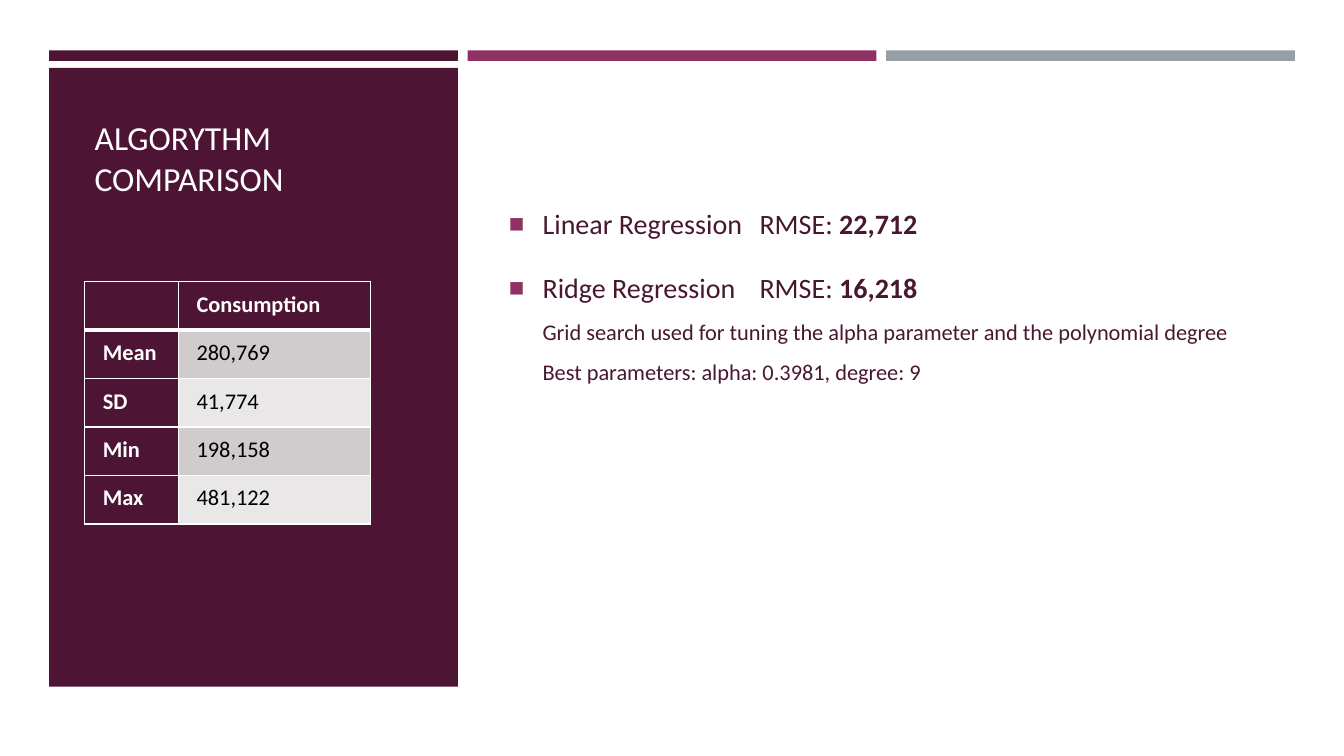
from lxml.etree import SubElement
from pptx import Presentation
from pptx.dml.color import RGBColor
from pptx.enum.shapes import MSO_SHAPE as Shape
from pptx.enum.text import MSO_ANCHOR as Anchor
from pptx.oxml.ns import qn
from pptx.util import Pt

FONT = "Calibri"
PLUM, MAGENTA, GREY, WHITE, BLACK = "4D1434", "903163", "969FA7", "FFFFFF", "000000"
BODY = "481831"
BANDS = ("D0CCCE", "E9E7E8")
STATISTICS = [("", "Consumption"), ("Mean", "280,769"), ("SD", "41,774"),
              ("Min", "198,158"), ("Max", "481,122")]
GRID_SEARCH = ("\vGrid search used for tuning the alpha parameter and the polynomial degree"
               "\vBest parameters: alpha: 0.3981, degree: 9")
# One list of (text, size, bold) runs for each bullet
RESULTS = [
    [("Linear Regression \tRMSE: ", 20, False), ("22,712", 20, True)],
    [("Ridge Regression \tRMSE: ", 20, False), ("16,218", 20, True),
     (GRID_SEARCH, 16, False)],
]


def color(hex_string):
    return RGBColor.from_string(hex_string)


def style_run(run, size, hex_string, bold=False):
    run.font.name = FONT
    run.font.size = Pt(size)
    run.font.bold = bold
    run.font.color.rgb = color(hex_string)


def add_block(slide, left, top, width, height, fill):
    block = slide.shapes.add_shape(Shape.RECTANGLE, Pt(left), Pt(top), Pt(width), Pt(height))
    block.fill.solid()
    block.fill.fore_color.rgb = color(fill)
    block.line.fill.background()
    block.shadow.inherit = False


def add_text_frame(slide, left, top, width, height):
    box = slide.shapes.add_textbox(Pt(left), Pt(top), Pt(width), Pt(height))
    box.text_frame.word_wrap = True
    return box.text_frame


def add_title(slide, text):
    text_frame = add_text_frame(slide, 60.5, 65, 250, 80)
    text_frame.vertical_anchor = Anchor.BOTTOM
    text_frame.text = text
    style_run(text_frame.paragraphs[0].runs[0], 24, WHITE)


def set_bullet(paragraph, tab_position):
    properties = paragraph._p.get_or_add_pPr()
    properties.set("marL", str(Pt(25)))
    properties.set("indent", str(Pt(-24)))
    bullet_color = SubElement(properties, qn("a:buClr"))
    SubElement(bullet_color, qn("a:srgbClr"), val=MAGENTA)
    SubElement(properties, qn("a:buSzPct"), val="92000")
    SubElement(properties, qn("a:buFont"), typeface="Arial")
    SubElement(properties, qn("a:buChar"), char="■")
    tabs = SubElement(properties, qn("a:tabLst"))
    SubElement(tabs, qn("a:tab"), pos=str(Pt(tab_position)), algn="l")


def add_results(slide, results):
    text_frame = add_text_frame(slide, 355.5, 132, 535, 242)
    for index, parts in enumerate(results):
        paragraph = text_frame.add_paragraph() if index else text_frame.paragraphs[0]
        paragraph.line_spacing = 1.5
        paragraph.space_before = Pt(4)
        paragraph.space_after = Pt(6)
        set_bullet(paragraph, 180)
        for text, size, bold in parts:
            for number, line in enumerate(text.split("\v")):
                if number:
                    paragraph.add_line_break()
                if line:
                    run = paragraph.add_run()
                    run.text = line
                    style_run(run, size, BODY, bold)


def set_borders(cell, bottom_width):
    properties = cell._tc.get_or_add_tcPr()
    widths = {"a:lnL": 1, "a:lnR": 1, "a:lnT": 1, "a:lnB": bottom_width}
    for position, (side, width) in enumerate(widths.items()):
        line = SubElement(properties, qn(side), w=str(Pt(width)))
        fill = SubElement(line, qn("a:solidFill"))
        SubElement(fill, qn("a:srgbClr"), val=WHITE)
        properties.insert(position, line)  # borders come before the cell fill


def add_statistics(slide, rows):
    row_height, column_widths = 34.6, (67, 137)
    frame = slide.shapes.add_table(len(rows), len(column_widths), Pt(60.5), Pt(201.3),
                                   Pt(sum(column_widths)), Pt(row_height * len(rows)))
    table = frame.table
    table.first_col = True
    for column, width in zip(table.columns, column_widths):
        column.width = Pt(width)
    for row_index, values in enumerate(rows):
        table.rows[row_index].height = Pt(row_height)
        for column_index, value in enumerate(values):
            cell = table.cell(row_index, column_index)
            heading = row_index == 0 or column_index == 0
            cell.fill.solid()
            cell.fill.fore_color.rgb = color(PLUM if heading else BANDS[(row_index - 1) % 2])
            cell.margin_left = cell.margin_right = Pt(13)
            cell.margin_top = cell.margin_bottom = Pt(6.5)
            set_borders(cell, 1 if row_index else 3)
            cell.text_frame.text = value
            for run in cell.text_frame.paragraphs[0].runs:
                style_run(run, 16, WHITE if heading else BLACK, heading)


def main():
    presentation = Presentation()
    presentation.slide_width, presentation.slide_height = Pt(960), Pt(540)
    slide = presentation.slides.add_slide(presentation.slide_layouts[6])
    slide.background.fill.solid()
    slide.background.fill.fore_color.rgb = color(WHITE)

    # Side panel and the three bars across the top
    add_block(slide, 35, 48.5, 292, 442, PLUM)
    for index, fill in enumerate((PLUM, MAGENTA, GREY)):
        add_block(slide, 35 + index * 299, 36, 292, 7.5, fill)

    # Panel content
    add_title(slide, "ALGORYTHM COMPARISON")
    add_statistics(slide, STATISTICS)

    # Regression results
    add_results(slide, RESULTS)

    presentation.save("out.pptx")


if __name__ == "__main__":
    main()
